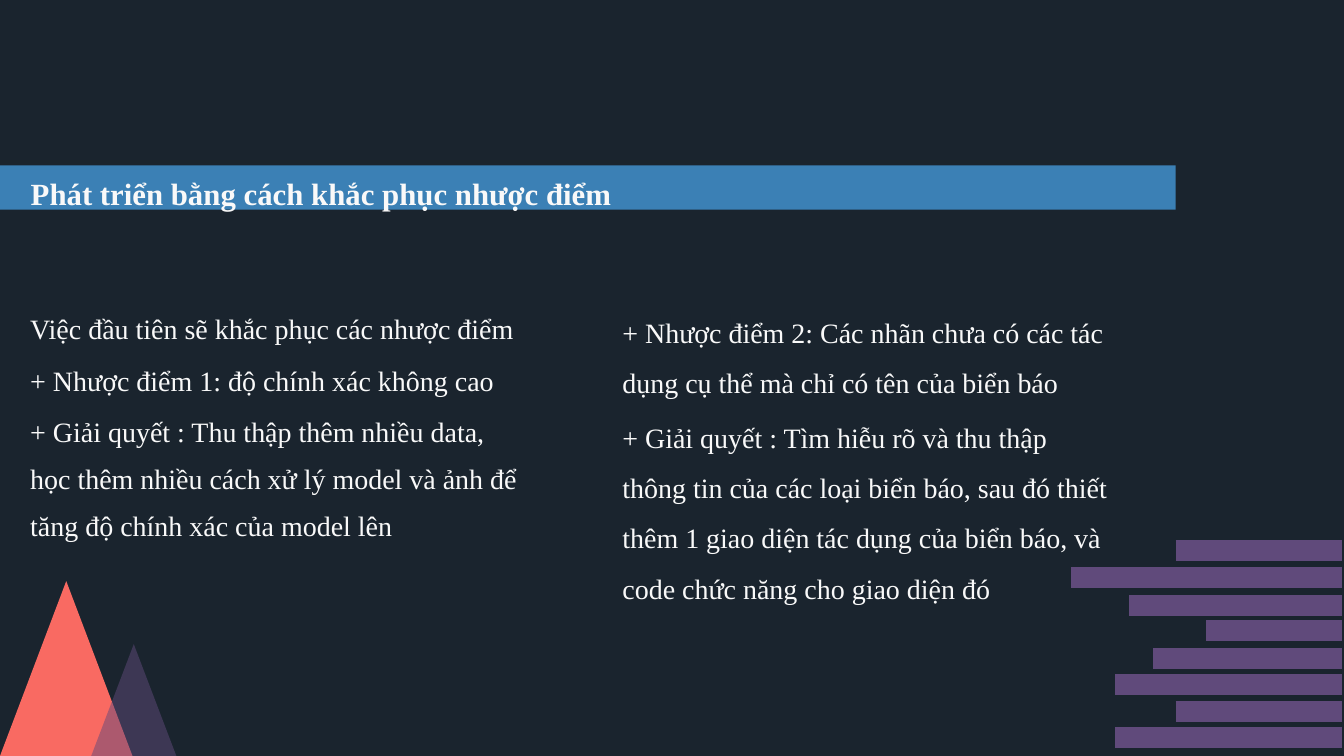
from pptx import Presentation
from pptx.dml.color import RGBColor
from pptx.enum.shapes import MSO_CONNECTOR, MSO_SHAPE
from pptx.enum.text import MSO_ANCHOR, MSO_AUTO_SIZE, PP_ALIGN
from pptx.oxml.ns import qn
from pptx.util import Inches, Pt
from lxml import etree

STRAIGHT = MSO_CONNECTOR.STRAIGHT
RECTANGLE, TRIANGLE = MSO_SHAPE.RECTANGLE, MSO_SHAPE.ISOSCELES_TRIANGLE
TOP, NO_FIT = MSO_ANCHOR.TOP, MSO_AUTO_SIZE.NONE
LEFT, CENTER = PP_ALIGN.LEFT, PP_ALIGN.CENTER

NIGHT = RGBColor(0x1A, 0x24, 0x2E)
BLUE = RGBColor(0x3B, 0x80, 0xB5)
CORAL = RGBColor(0xF9, 0x6A, 0x62)
PURPLE = RGBColor(0x60, 0x4A, 0x7B)
WHITE = RGBColor(0xF9, 0xF9, 0xF9)
FONT = "Times New Roman"

# Content
TITLE = "Phát triển bằng cách khắc phục nhược điểm"
FIRST_WEAKNESS = [
    "Việc đầu tiên sẽ khắc phục các nhược điểm",
    "+ Nhược điểm 1: độ chính xác không cao",
    "+ Giải quyết : Thu thập thêm nhiều data, học thêm nhiều cách xử lý model "
    "và ảnh để tăng độ chính xác của model lên",
]
SECOND_WEAKNESS = [
    "+ Nhược điểm 2: Các nhãn chưa có các tác dụng cụ thể mà chỉ có tên của biển báo",
    "+ Giải quyết : Tìm hiễu rõ và thu thập thông tin của các loại biển báo, sau đó "
    "thiết thêm 1 giao diện tác dụng của biển báo, và code chức năng cho giao diện đó",
]

# Stripes: left end and height on the page, all ending at the same right edge
STRIPE_RIGHT = 26.64
STRIPES = [(23.33, 10.92), (21.25, 11.45), (22.41, 12.01), (23.94, 12.52),
           (22.88, 13.06), (22.13, 13.59), (23.33, 14.12), (22.13, 14.64)]


def add_solid(page, kind, area, color, opacity=100):
    shape = page.shapes.add_shape(kind, *map(Inches, area))
    shape.shadow.inherit = False
    shape.fill.solid()
    shape.fill.fore_color.rgb = color
    shape.line.fill.background()
    if opacity < 100:
        tint = shape.fill._xPr.find(".//" + qn("a:srgbClr"))
        etree.SubElement(tint, qn("a:alpha"), val=str(opacity * 1000))
    return shape


def fill_placeholder(box, area, texts, size, spacing, align=LEFT, bold=False, wrap=True):
    box.left, box.top, box.width, box.height = map(Inches, area)
    frame = box.text_frame
    frame.margin_left = frame.margin_right = Inches(0.1)
    frame.margin_top = frame.margin_bottom = Inches(0.1)
    frame.vertical_anchor = TOP
    frame.auto_size = NO_FIT
    frame.word_wrap = wrap
    for index, text in enumerate(texts):
        para = frame.paragraphs[0] if index == 0 else frame.add_paragraph()
        para.text = text
        para.alignment = align
        para.line_spacing = spacing
        para.space_before = Pt(6 if index else 0)
        properties = para._p.get_or_add_pPr()
        properties.set("marL", "0")
        properties.set("indent", "0")
        etree.SubElement(properties, qn("a:buNone"))
        para.font.name = FONT
        para.font.size = Pt(size)
        para.font.bold = bold
        para.font.color.rgb = WHITE


def add_stripe(page, left, height):
    line = page.shapes.add_connector(STRAIGHT, Inches(left), Inches(height),
                                     Inches(STRIPE_RIGHT), Inches(height))
    line.line.color.rgb = PURPLE
    line.line.width = Pt(30)
    etree.SubElement(line._element.spPr, qn("a:effectLst"))


def main():
    deck = Presentation()
    deck.slide_width, deck.slide_height = Inches(26.67), Inches(15)
    page = deck.slides.add_slide(deck.slide_layouts.get_by_name("Two Content"))
    page.background.fill.solid()
    page.background.fill.fore_color.rgb = NIGHT

    # Title band, sent behind the text
    band = add_solid(page, RECTANGLE, (0, 3.28, 23.33, 0.88), BLUE)
    page.shapes._spTree.insert(2, band._element)

    # Title and the two columns
    title, first, second = page.placeholders
    fill_placeholder(title, (0.5, 3, 11.75, 1.33), [TITLE], 44, 1.5, CENTER, True, False)
    fill_placeholder(first, (0.5, 5.82, 9.89, 5.08), FIRST_WEAKNESS, 40, 1.4)
    fill_placeholder(second, (12.25, 5.82, 9.89, 6.57), SECOND_WEAKNESS, 40, 1.5)

    # Corner decorations
    add_solid(page, TRIANGLE, (0, 11.53, 2.63, 3.47), CORAL)
    add_solid(page, TRIANGLE, (1.81, 12.78, 1.69, 2.22), PURPLE, 50)
    for left, height in STRIPES:
        add_stripe(page, left, height)

    deck.save("out.pptx")


if __name__ == "__main__":
    main()
